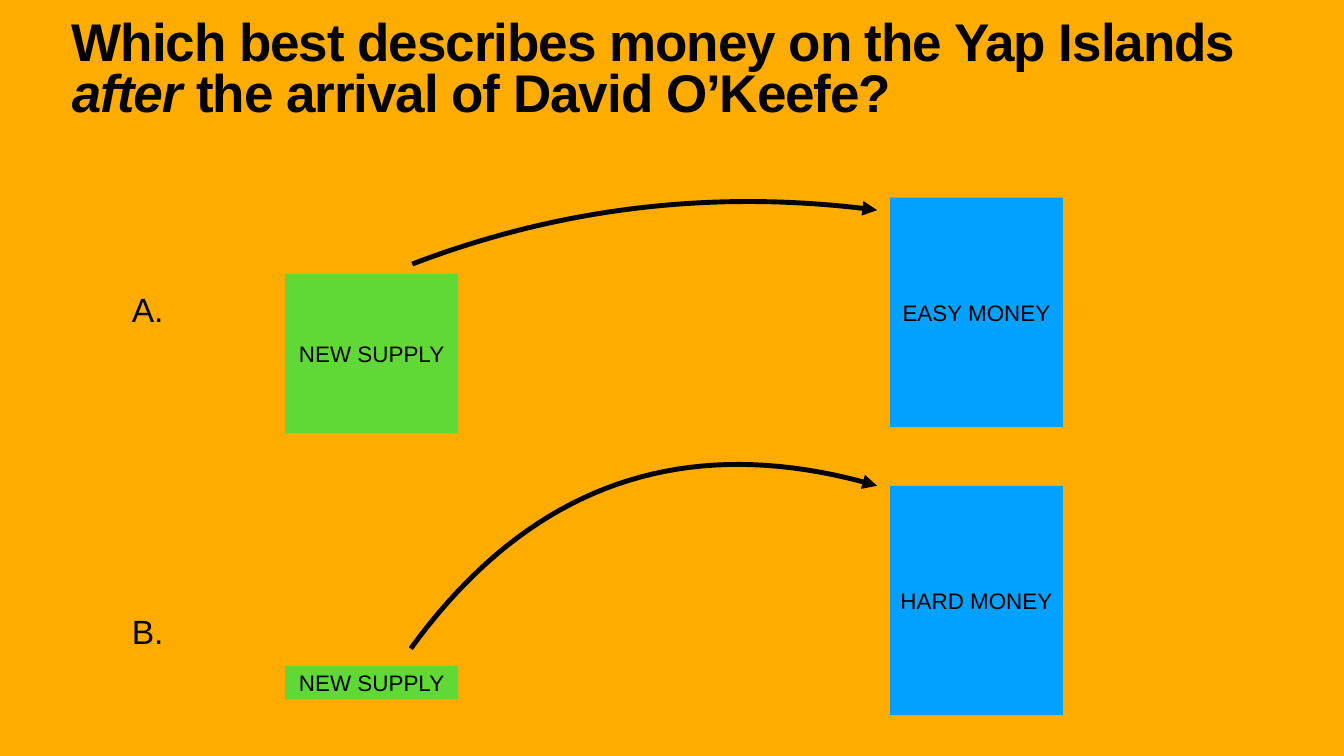
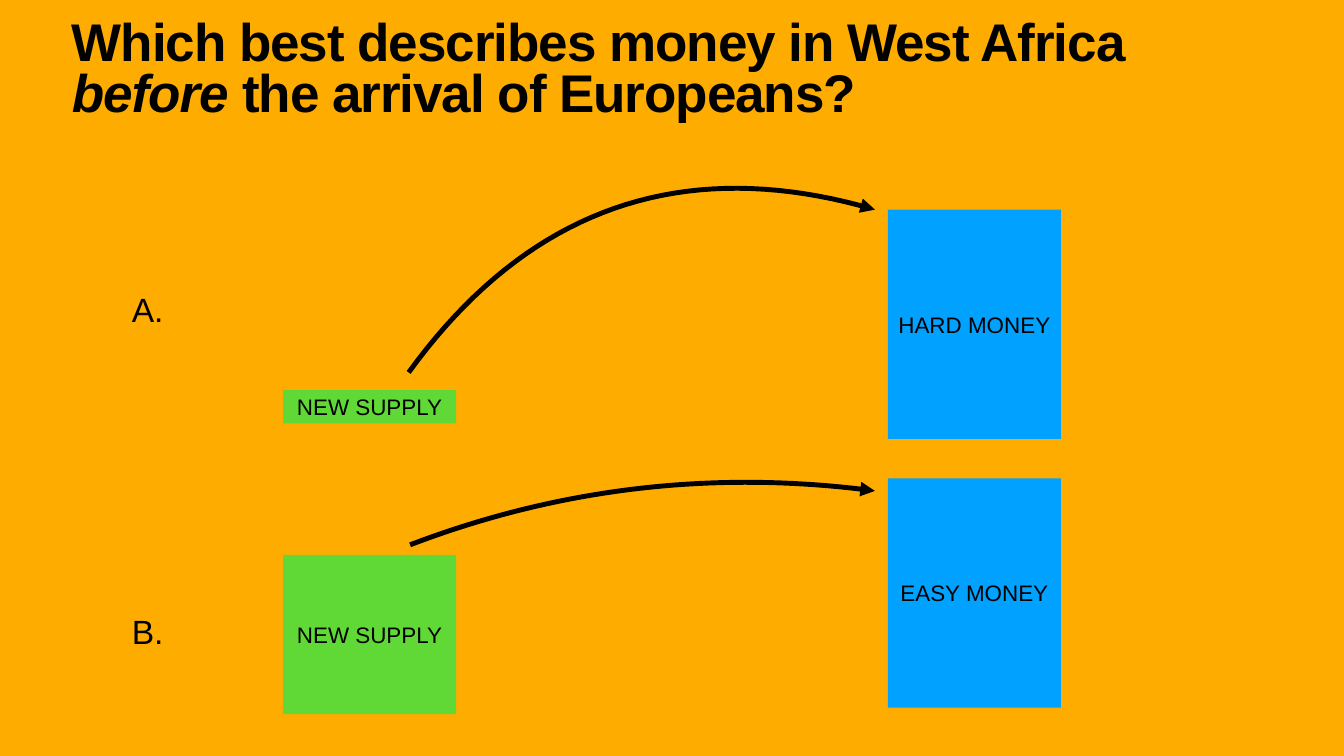
from lxml import etree
from pptx import Presentation
from pptx.dml.color import RGBColor
from pptx.enum import shapes, text
from pptx.oxml.ns import qn
from pptx.util import Pt

AMBER = RGBColor(0xFE, 0xAD, 0x00)
GREEN = RGBColor(0x60, 0xD9, 0x37)
BLUE = RGBColor(0x00, 0xA1, 0xFF)
BLACK = RGBColor(0, 0, 0)
FONT = "Arial"

# Each question: (before, emphasised, after), left edge of the diagrams,
# then (kind of money, top of its money box) for answers A and B.
QUESTIONS = [
    (("Which best describes money on the Yap Islands ", "after",
      " the arrival of David O’Keefe?"),
     407.5, [("EASY", 282.2), ("HARD", 694)]),
    (("Which best describes money in West Africa ", "before",
      " the arrival of Europeans?"),
     404.5, [("HARD", 299.5), ("EASY", 683.3)]),
]

# Supply box drop and height, and the Bézier points of the arrow,
# all measured from the diagram's left edge and the money box's top.
DIAGRAMS = {
    "EASY": (109.5, 227.5, [(181.4, 95), (396, 13), (618, -12.2), (845.5, 18)]),
    "HARD": (257.8, 47.5, [(179.3, 232.6), (350, -3), (571.7, -80), (845.5, 0)]),
}
ANSWERS = [("A.", 414), ("B.", 874)]
ANSWER_LEFT, ANSWER_WIDTH, ANSWER_HEIGHT = 184.3, 54, 63.4
BOX_WIDTH, MONEY_HEIGHT, MONEY_OFFSET = 247, 327.6, 864
MARGIN = 4
CURVE_STEPS = 40


def set_frame(frame, anchor, wrap=True):
    frame.margin_left = frame.margin_right = Pt(MARGIN)
    frame.margin_top = frame.margin_bottom = Pt(MARGIN)
    frame.vertical_anchor = anchor
    frame.word_wrap = wrap


def set_font(paragraph, size):
    paragraph.font.name = FONT
    paragraph.font.size = Pt(size)
    paragraph.font.color.rgb = BLACK


def add_title(slide, parts):
    title = slide.shapes.title
    title.left, title.top, title.width, title.height = map(Pt, (98.6, 26, 1722, 172))
    frame = title.text_frame
    set_frame(frame, text.MSO_ANCHOR.TOP)
    frame.auto_size = text.MSO_AUTO_SIZE.NONE
    paragraph = frame.paragraphs[0]
    paragraph.alignment = text.PP_ALIGN.LEFT
    paragraph.line_spacing = 0.8
    set_font(paragraph, 75.7)
    paragraph.font.bold = True
    for part, emphasised in zip(parts, (False, True, False)):
        run = paragraph.add_run()
        run.text = part
        run.font.italic = emphasised
        run.font._element.set("spc", "-150")


def add_answer(slide, letter, top):
    box = slide.shapes.add_textbox(Pt(ANSWER_LEFT), Pt(top),
                                   Pt(ANSWER_WIDTH), Pt(ANSWER_HEIGHT))
    frame = box.text_frame
    set_frame(frame, text.MSO_ANCHOR.MIDDLE, wrap=False)
    frame.auto_size = text.MSO_AUTO_SIZE.SHAPE_TO_FIT_TEXT
    frame.text = letter
    frame.paragraphs[0].line_spacing = 0.9
    set_font(frame.paragraphs[0], 48)


def add_box(slide, label, left, top, height, color):
    box = slide.shapes.add_shape(shapes.MSO_SHAPE.RECTANGLE, Pt(left), Pt(top),
                                 Pt(BOX_WIDTH), Pt(height))
    box.shadow.inherit = False
    box.fill.solid()
    box.fill.fore_color.rgb = color
    box.line.fill.background()
    set_frame(box.text_frame, text.MSO_ANCHOR.MIDDLE)
    box.text_frame.text = label
    paragraph = box.text_frame.paragraphs[0]
    paragraph.alignment = text.PP_ALIGN.CENTER
    set_font(paragraph, 32)


def bezier(points, t):
    weights = ((1 - t) ** 3, 3 * t * (1 - t) ** 2, 3 * t ** 2 * (1 - t), t ** 3)
    return tuple(sum(w * value for w, value in zip(weights, axis))
                 for axis in zip(*points))


def add_arrow(slide, left, top, points):
    curve = [(Pt(left + x), Pt(top + y)) for x, y in
             (bezier(points, step / CURVE_STEPS) for step in range(CURVE_STEPS + 1))]
    builder = slide.shapes.build_freeform(*curve[0])
    builder.add_line_segments(curve[1:], close=False)
    arrow = builder.convert_to_shape()
    arrow.shadow.inherit = False
    arrow.fill.background()
    arrow.line.color.rgb = BLACK
    arrow.line.width = Pt(7)
    etree.SubElement(arrow.line._get_or_add_ln(), qn("a:tailEnd"), type="triangle")


def add_diagram(slide, kind, left, top):
    drop, supply_height, points = DIAGRAMS[kind]
    add_box(slide, "NEW SUPPLY", left, top + drop, supply_height, GREEN)
    add_box(slide, f"{kind} MONEY", left + MONEY_OFFSET, top, MONEY_HEIGHT, BLUE)
    add_arrow(slide, left, top, points)


def main():
    deck = Presentation()
    deck.slide_width, deck.slide_height = Pt(1920), Pt(1080)
    background = deck.slide_master.background.fill
    background.solid()
    background.fore_color.rgb = AMBER
    title_only = deck.slide_layouts[5]
    for title, left, diagrams in QUESTIONS:
        slide = deck.slides.add_slide(title_only)
        add_title(slide, title)
        for (letter, answer_top), (kind, top) in zip(ANSWERS, diagrams):
            add_answer(slide, letter, answer_top)
            add_diagram(slide, kind, left, top)
    deck.save("out.pptx")


if __name__ == "__main__":
    main()
